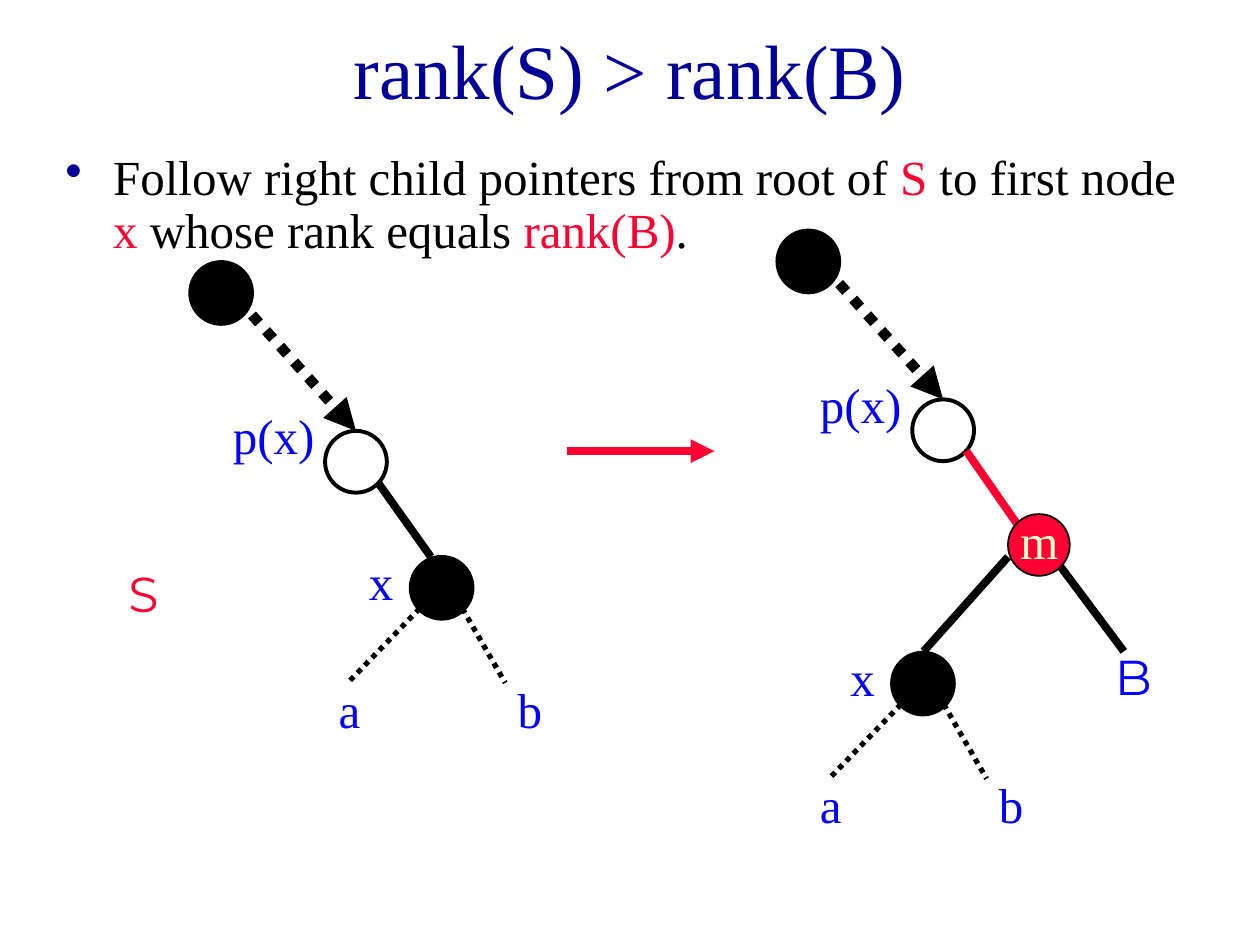
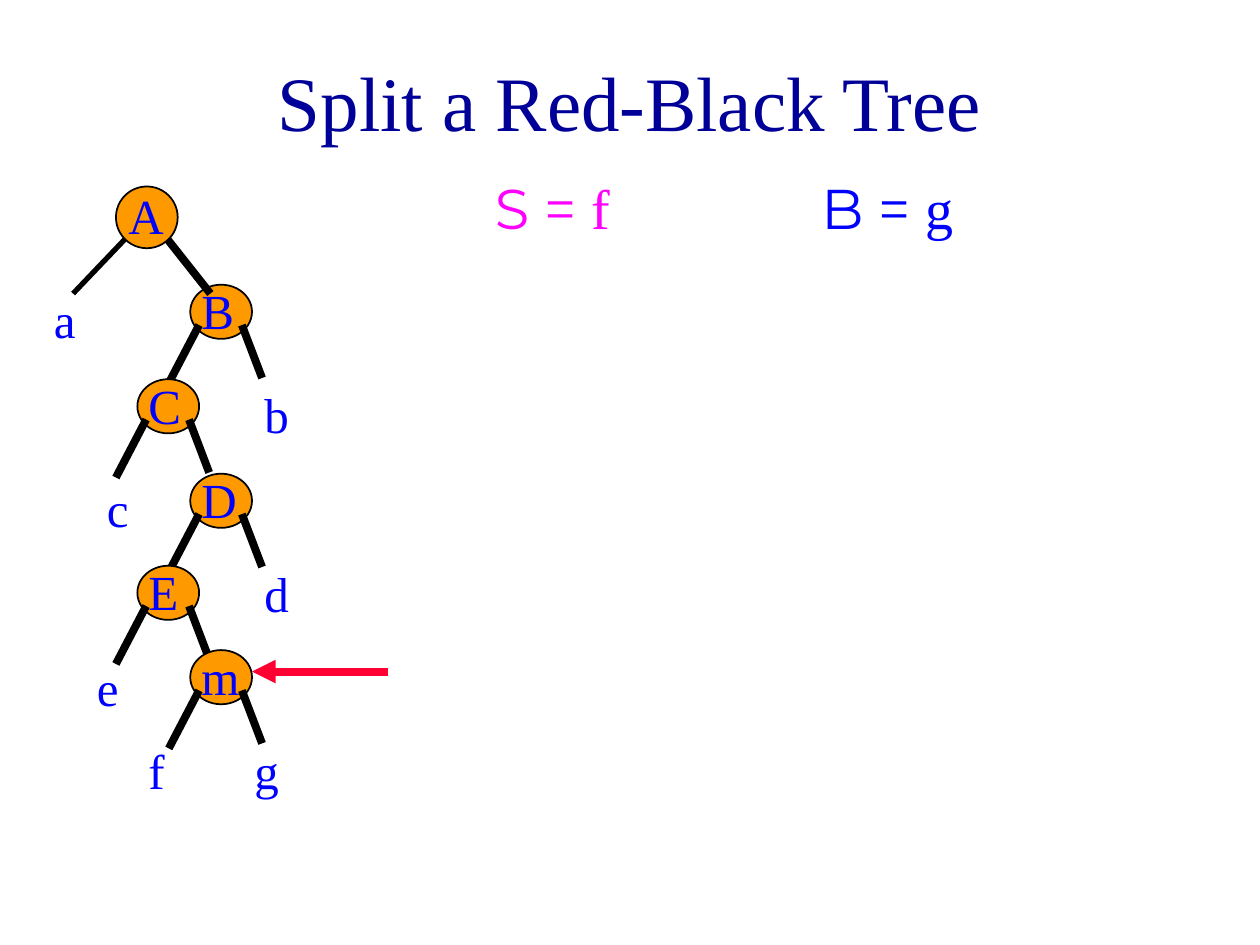
from typing import NamedTuple

from lxml import etree
from pptx import Presentation
from pptx.dml.color import RGBColor
from pptx.enum.dml import MSO_LINE
from pptx.enum.shapes import MSO_CONNECTOR, MSO_SHAPE
from pptx.enum.text import MSO_ANCHOR, PP_ALIGN
from pptx.oxml.ns import qn
from pptx.util import Inches, Pt

OVAL = MSO_SHAPE.OVAL
STRAIGHT = MSO_CONNECTOR.STRAIGHT
DOTTED = MSO_LINE.ROUND_DOT
CENTER, LEFT = PP_ALIGN.CENTER, PP_ALIGN.LEFT
MIDDLE, TOP = MSO_ANCHOR.MIDDLE, MSO_ANCHOR.TOP

COLORS = {
    "navy": "000099",
    "black": "000000",
    "red": "FF0033",
    "blue": "0000FF",
    "cream": "FFFFCC",
    "orange": "FF9900",
    "magenta": "FF00FF",
}
SERIF, SANS = "Times New Roman", "Montserrat"
NODE = 0.49


class Run(NamedTuple):
    text: str
    color: str = "blue"
    font: str = SERIF
    size: int = 28


class Label(NamedTuple):
    text: str
    x: float
    y: float


class TreeNode(NamedTuple):
    name: str
    x: float
    y: float
    leaves: tuple[Label, ...]


SPLIT_NODES = (
    TreeNode("C", 1.09, 3.01, (Label("c", 0.75, 3.75),)),
    TreeNode("D", 1.51, 3.76, (Label("d", 2, 4.42),)),
    TreeNode("E", 1.09, 4.49, (Label("e", 0.67, 5.17),)),
    TreeNode("m", 1.51, 5.16, (Label("f", 1.08, 5.83), Label("g", 1.92, 5.83))),
)
SPLIT_TOP = TreeNode("B", 1.51, 2.26, (Label("b", 2, 3),))


def rgb(name: str) -> RGBColor:
    return RGBColor.from_string(COLORS[name])


def add_text(slide, x: float, y: float, runs: list[Run], w: float = 0.5,
             h: float = 0.57, align=LEFT, anchor=TOP):
    tf = slide.shapes.add_textbox(Inches(x), Inches(y), Inches(w), Inches(h)).text_frame
    tf.word_wrap = True
    tf.vertical_anchor = anchor
    p = tf.paragraphs[0]
    p.alignment = align
    for run in runs:
        r = p.add_run()
        r.text = run.text
        r.font.name = run.font
        r.font.size = Pt(run.size)
        r.font.color.rgb = rgb(run.color)
    return p


def add_label(slide, label: Label) -> None:
    add_text(slide, label.x, label.y, [Run(label.text)])


def add_title(slide, text: str, h: float) -> None:
    add_text(slide, 0.75, 0.17, [Run(text, "navy", size=44)], 8.5, h, CENTER, MIDDLE)


def add_bullet(p) -> None:
    pPr = p._p.get_or_add_pPr()
    pPr.set("marL", str(Inches(0.38)))
    pPr.set("indent", str(-Inches(0.38)))
    color = etree.SubElement(pPr, qn("a:buClr"))
    etree.SubElement(color, qn("a:srgbClr"), val=COLORS["navy"])
    etree.SubElement(pPr, qn("a:buChar"), char="•")


def add_node(slide, x: float, y: float, fill: str | None = None,
             line: float = 1, h: float = NODE):
    sp = slide.shapes.add_shape(OVAL, Inches(x), Inches(y), Inches(NODE), Inches(h))
    sp.shadow.inherit = False
    if fill:
        sp.fill.solid()
        sp.fill.fore_color.rgb = rgb(fill)
    else:
        sp.fill.background()
    sp.line.color.rgb = rgb("black")
    sp.line.width = Pt(line)
    return sp


def add_edge(slide, x1: float, y1: float, x2: float, y2: float, color: str = "black",
             width: float = 4.5, dash=None, arrow: bool = False):
    cxn = slide.shapes.add_connector(STRAIGHT, Inches(x1), Inches(y1), Inches(x2), Inches(y2))
    cxn.line.color.rgb = rgb(color)
    cxn.line.width = Pt(width)
    if dash:
        cxn.line.dash_style = dash
    if arrow:
        etree.SubElement(cxn.line._get_or_add_ln(), qn("a:tailEnd"), type="triangle")
    etree.SubElement(cxn._element.spPr, qn("a:effectLst"))
    return cxn


def add_right_path(slide, x: float, y: float) -> None:
    add_node(slide, x, y, "black", 2.25)
    parent = add_node(slide, x + 1.07, y + 1.34, line=2.25)
    add_text(slide, x + 0.24, y + 1.09, [Run("p(x)")], w=1)
    pointer = add_edge(slide, x + 0.49, y + 0.42, x + 1.32, y + 1.34,
                       width=6, dash=DOTTED, arrow=True)
    pointer.end_connect(parent, 0)


def add_x_subtree(slide, x: float, y: float) -> None:
    add_node(slide, x, y, "black", 2.25)
    for start, end in ((0.07, -0.5), (0.41, 0.75)):
        add_edge(slide, x + start, y + 0.41, x + end, y + 1, width=3, dash=DOTTED)
    for text, dx, dy in (("a", -0.67, 0.92), ("b", 0.75, 0.92), ("x", -0.43, -0.09)):
        add_label(slide, Label(text, x + dx, y + dy))


def add_split_node(slide, node: TreeNode) -> None:
    x, y = node.x, node.y
    add_node(slide, x, y, "orange", h=0.43)
    add_edge(slide, x + 0.07, y + 0.32, x - 0.17, y + 0.78)
    add_edge(slide, x + 0.41, y + 0.32, x + 0.57, y + 0.74)
    for label in (*node.leaves, Label(node.name, x - 0.01, y - 0.08)):
        add_label(slide, label)


def build_rank_slide(slide) -> None:
    add_title(slide, "rank(S) > rank(B)", 0.75)
    p = add_text(slide, 0.42, 1.17, [
        Run("Follow right child pointers from root of ", "black"),
        Run("S", "red"),
        Run(" to first node", "black"),
        Run(" x", "red"),
        Run(" whose rank equals ", "black"),
        Run("rank(B)", "red"),
        Run(".", "black"),
    ], 9.25, 1)
    p.line_spacing = 0.9
    add_bullet(p)

    add_right_path(slide, 1.51, 2.08)
    add_x_subtree(slide, 3.26, 4.42)
    add_edge(slide, 3, 3.83, 3.42, 4.42)
    add_text(slide, 0.92, 4.42, [Run("S", "red", SANS)], w=1.17)

    add_edge(slide, 4.5, 3.58, 5.67, 3.58, "red", arrow=True)

    add_right_path(slide, 6.17, 1.83)
    add_x_subtree(slide, 7.08, 5.18)
    add_edge(slide, 7.67, 3.58, 8.08, 4.17, "red")
    add_node(slide, 8, 4.08, "red")
    add_edge(slide, 8.42, 4.5, 8.92, 5.17)
    add_text(slide, 8, 4, [Run("m", "cream")])
    add_edge(slide, 8, 4.42, 7.33, 5.17)
    add_text(slide, 8.75, 5.08, [Run("B", font=SANS)])


def build_split_slide(slide) -> None:
    add_title(slide, "Split a Red-Black Tree", 1.25)
    add_node(slide, 0.92, 1.48, "orange")
    add_split_node(slide, SPLIT_TOP)
    add_edge(slide, 1.33, 1.9, 1.67, 2.33)
    add_edge(slide, 0.99, 1.9, 0.58, 2.33, width=3)
    add_label(slide, Label("A", 0.92, 1.42))
    add_label(slide, Label("a", 0.33, 2.25))
    for node in SPLIT_NODES:
        add_split_node(slide, node)
    add_edge(slide, 3.08, 5.33, 2, 5.33, "red", arrow=True)

    for x, name, tree, color in ((3.83, "S", "f", "magenta"), (6.42, "B", "g", "blue")):
        add_text(slide, x, 1.33, [Run(f"{name} = ", color, SANS, 32),
                                  Run(tree, color, size=32)], 2, 0.64)


def main() -> None:
    prs = Presentation()
    prs.slide_width, prs.slide_height = Inches(10), Inches(7.5)
    for build in (build_rank_slide, build_split_slide):
        build(prs.slides.add_slide(prs.slide_layouts[6]))
    prs.save("out.pptx")


if __name__ == "__main__":
    main()
